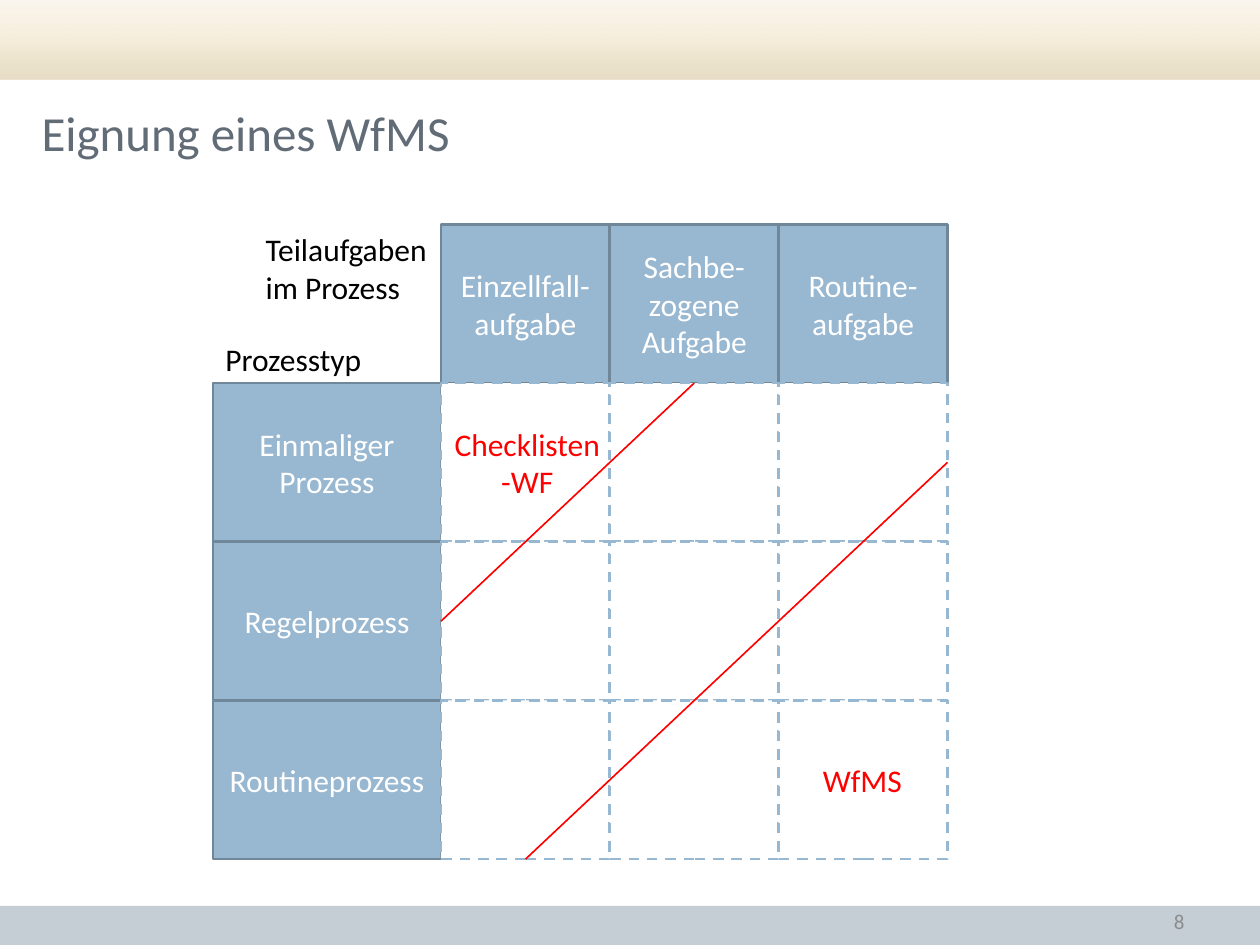
from lxml import etree
from pptx import Presentation
from pptx.dml.color import RGBColor
from pptx.enum.dml import MSO_LINE
from pptx.enum.shapes import MSO_CONNECTOR, MSO_SHAPE
from pptx.enum.text import MSO_ANCHOR, MSO_AUTO_SIZE, PP_ALIGN
from pptx.oxml import parse_xml
from pptx.oxml.ns import nsdecls, qn
from pptx.util import Inches, Pt

RECTANGLE, STRAIGHT, DASH = MSO_SHAPE.RECTANGLE, MSO_CONNECTOR.STRAIGHT, MSO_LINE.DASH
LEFT, CENTER, RIGHT = PP_ALIGN.LEFT, PP_ALIGN.CENTER, PP_ALIGN.RIGHT
TOP, MIDDLE = MSO_ANCHOR.TOP, MSO_ANCHOR.MIDDLE
SIDE_TOP, SIDE_LEFT, SIDE_BOTTOM, SIDE_RIGHT = range(4)

# Content
TITLE = "Eignung eines WfMS"
PAGE_NUMBER = "8"
TASK_TYPES = ["Einzellfall-aufgabe", "Sachbe-zogene Aufgabe", "Routine-aufgabe"]
PROCESS_TYPES = ["Einmaliger Prozess", "Regelprozess", "Routineprozess"]
# text, box, alignment, colour; \v is a line break
LABELS = [
    ("Prozesstyp", (1.69, 2.65, 1.29, 0.4), LEFT, "black"),
    ("Teilaufgaben\vim Prozess", (2.01, 1.78, 1.5, 0.71), LEFT, "black"),
    ("Checklisten\v-WF", (3.5, 3.32, 1.37, 0.71), CENTER, "red"),
    ("WfMS", (6.43, 5.99, 0.83, 0.4), CENTER, "red"),
]
# (row, column), side at the start and at the end
BOUNDARIES = [
    ((1, 0), SIDE_LEFT, (0, 1), SIDE_TOP),
    ((2, 0), SIDE_BOTTOM, (0, 2), SIDE_RIGHT),
]

THEME = {
    "font": "Calibri", "title_size": 28, "text_size": 18, "number_size": 12,
    "title": "626C77", "number": "8C8C8C", "footer": "C5CED5",
    "header": "98B7D0", "header_line": "70879A",
    "white": "FFFFFF", "black": "000000", "red": "FF0000",
    "grid_line": 1.5, "boundary_line": 0.94,
    # position in percent, colour, opacity in percent
    "banner": [(0, "DFD2B3", 73), (50, "F6EEDC", 100), (100, "FAF6EE", 100)],
}

# Matrix geometry in inches
MATRIX_LEFT, MATRIX_TOP = 1.69, 1.78
ROW_HEADER_WIDTH, COLUMN_WIDTH, ROW_HEIGHT = 1.81, 1.34, 1.26
GRID_LEFT = MATRIX_LEFT + ROW_HEADER_WIDTH
GRID_TOP = MATRIX_TOP + ROW_HEIGHT


def color(name):
    return RGBColor.from_string(THEME[name])


def write(shape, text, size, color_name, alignment=CENTER, anchor=MIDDLE, wrap=True):
    frame = shape.text_frame
    frame.text = text
    frame.word_wrap = wrap
    frame.vertical_anchor = anchor
    paragraph = frame.paragraphs[0]
    paragraph.alignment = alignment
    paragraph.font.name = THEME["font"]
    paragraph.font.size = Pt(THEME[size])
    paragraph.font.color.rgb = color(color_name)


def add_rectangle(slide, box, fill, line=None):
    shape = slide.shapes.add_shape(RECTANGLE, *map(Inches, box))
    shape.shadow.inherit = False
    shape.fill.solid()
    shape.fill.fore_color.rgb = color(fill)
    if line:
        shape.line.color.rgb = color(line)
        shape.line.width = Pt(THEME["grid_line"])
    else:
        shape.line.fill.background()
    return shape


def add_header(slide, text, box):
    write(add_rectangle(slide, box, "header", "header_line"), text, "text_size", "white")


def add_banner(slide):
    """Top bar with a three-stop gradient running upwards."""
    banner = add_rectangle(slide, (0, 0, 10, 0.63), "white")
    stops = "".join(
        f'<a:gs pos="{position * 1000}"><a:srgbClr val="{value}">'
        f'<a:alpha val="{opacity * 1000}"/></a:srgbClr></a:gs>'
        for position, value, opacity in THEME["banner"]
    )
    gradient = parse_xml(
        f'<a:gradFill {nsdecls("a")} rotWithShape="1"><a:gsLst>{stops}</a:gsLst>'
        '<a:lin ang="16200000" scaled="0"/></a:gradFill>'
    )
    properties = banner._element.spPr
    properties.replace(properties.find(qn("a:solidFill")), gradient)


def add_cell(slide, row, column):
    box = (GRID_LEFT + column * COLUMN_WIDTH, GRID_TOP + row * ROW_HEIGHT,
           COLUMN_WIDTH, ROW_HEIGHT)
    cell = add_rectangle(slide, box, "white", "header")
    cell.line.dash_style = DASH
    return cell


def add_boundary(slide, start, start_side, end, end_side):
    line = slide.shapes.add_connector(STRAIGHT, 0, 0, 0, 0)
    line.begin_connect(start, start_side)
    line.end_connect(end, end_side)
    line.line.color.rgb = color("red")
    line.line.width = Pt(THEME["boundary_line"])
    etree.SubElement(line._element.spPr, qn("a:effectLst"))


def main():
    presentation = Presentation()
    presentation.slide_width, presentation.slide_height = Inches(10), Inches(7.5)
    slide = presentation.slides.add_slide(presentation.slide_layouts[5])

    add_banner(slide)
    add_rectangle(slide, (0, 7.19, 10, 0.31), "footer")

    title = slide.shapes.title
    title.left, title.top, title.width, title.height = map(Inches, (0.23, 0.62, 9.77, 0.86))
    write(title, TITLE, "title_size", "title", LEFT)
    number = slide.shapes.add_textbox(*map(Inches, (7.17, 7.11, 2.33, 0.4)))
    write(number, PAGE_NUMBER, "number_size", "number", RIGHT)

    for column, text in enumerate(TASK_TYPES):
        left = GRID_LEFT + column * COLUMN_WIDTH
        add_header(slide, text, (left, MATRIX_TOP, COLUMN_WIDTH, ROW_HEIGHT))
    for row, text in enumerate(PROCESS_TYPES):
        top = GRID_TOP + row * ROW_HEIGHT
        add_header(slide, text, (MATRIX_LEFT, top, ROW_HEADER_WIDTH, ROW_HEIGHT))

    cells = {
        (row, column): add_cell(slide, row, column)
        for column in range(len(TASK_TYPES))
        for row in range(len(PROCESS_TYPES))
    }

    for text, box, alignment, color_name in LABELS:
        label = slide.shapes.add_textbox(*map(Inches, box))
        write(label, text, "text_size", color_name, alignment, TOP, wrap=False)
        label.text_frame.auto_size = MSO_AUTO_SIZE.SHAPE_TO_FIT_TEXT

    for start, start_side, end, end_side in BOUNDARIES:
        add_boundary(slide, cells[start], start_side, cells[end], end_side)

    presentation.save("out.pptx")


if __name__ == "__main__":
    main()
